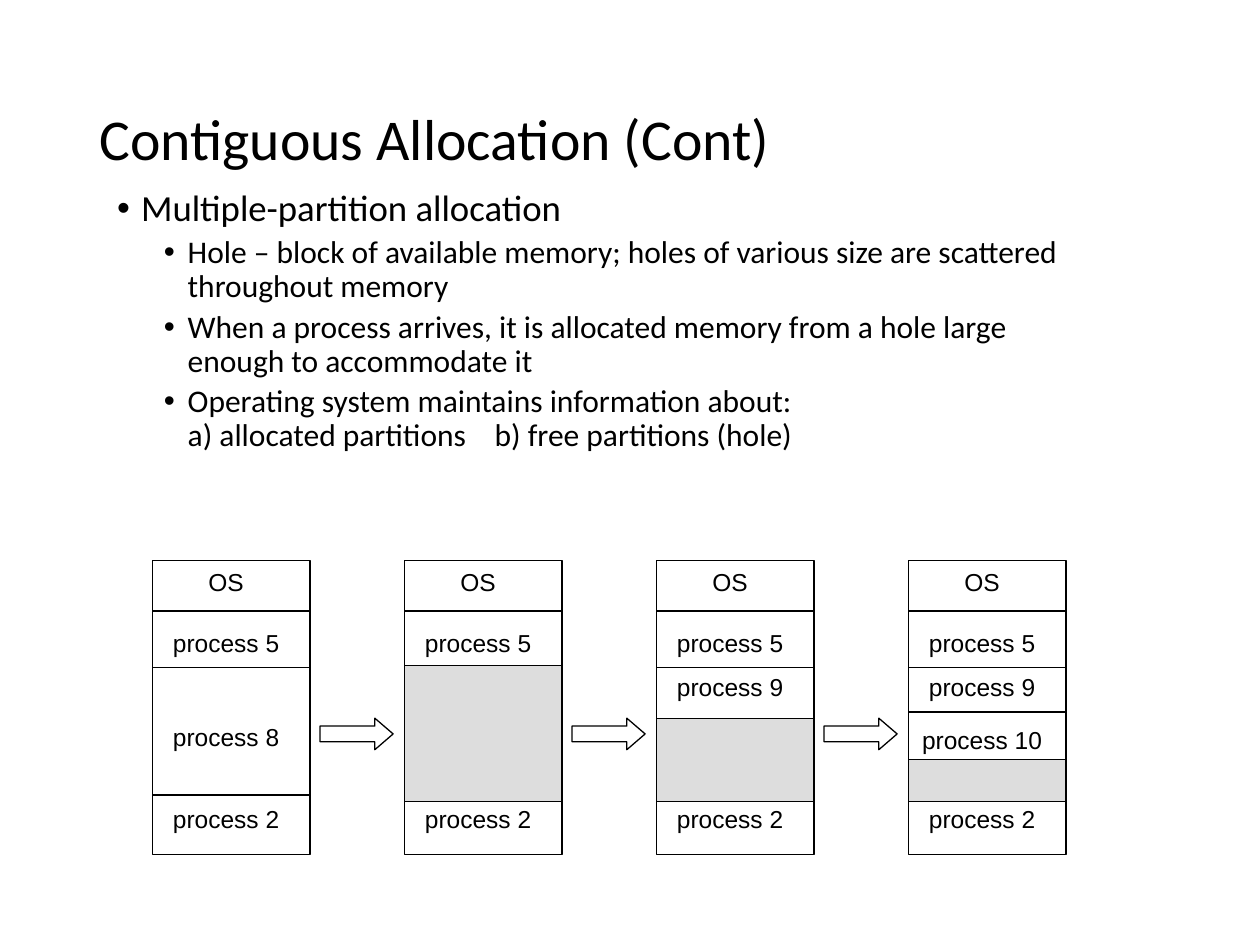
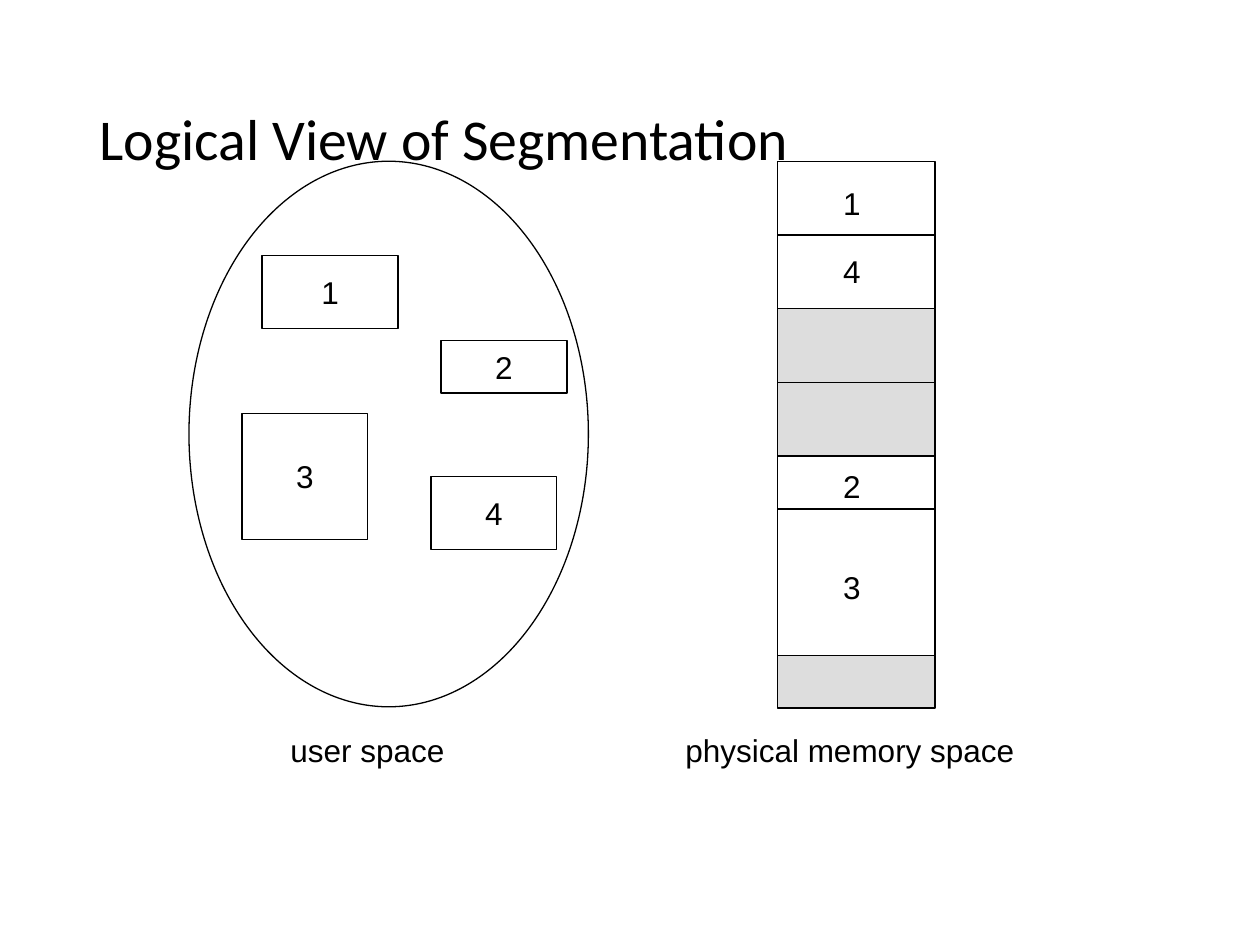
from lxml import etree
from pptx import Presentation
from pptx.dml.color import RGBColor
from pptx.enum.shapes import MSO_CONNECTOR, MSO_SHAPE
from pptx.enum.text import MSO_ANCHOR, MSO_AUTO_SIZE, PP_ALIGN
from pptx.oxml.ns import qn
from pptx.util import Inches, Pt

RECTANGLE, ELLIPSE, RIGHT_ARROW = MSO_SHAPE.RECTANGLE, MSO_SHAPE.OVAL, MSO_SHAPE.RIGHT_ARROW
STRAIGHT = MSO_CONNECTOR.STRAIGHT
TOP, MIDDLE = MSO_ANCHOR.TOP, MSO_ANCHOR.MIDDLE
LEFT, CENTER = PP_ALIGN.LEFT, PP_ALIGN.CENTER
NO_FIT = MSO_AUTO_SIZE.NONE

INK, PAPER, HOLE = "000000", "FFFFFF", "DDDDDD"
HEADING_FONT, LABEL_FONT = "Calibri", "Arial"
LEFT_SIDE, RIGHT_SIDE = 1, 3
BAR_WIDTH = 1.25

ALLOCATION_TITLE = "Contiguous Allocation (Cont)"
ALLOCATION_POINTS = [
    (0, "Multiple-partition allocation"),
    (1, "Hole – block of available memory; holes of various size are scattered throughout memory"),
    (1, "When a process arrives, it is allocated memory from a hole large enough to accommodate it"),
    (1, "Operating system maintains information about:\va) allocated partitions",
     "b) free partitions (hole)"),
]
LEVEL_STYLES = [
    {"size": 21, "before": 7.5, "indent": 0.19},
    {"size": 18, "before": 3.7, "indent": 0.56},
]
HANGING = 0.19
OPTION_GAP = 12.2

MEMORY_LEFT, MEMORY_TOP, MEMORY_HEIGHT, MEMORY_STEP = 1.21, 4.45, 2.33, 2
HOLE_BOTTOM = 6.36
COMMON_LABELS = [("OS", 4.45), ("process 5", 4.93), ("process 2", 6.33)]
MEMORY_STATES = [
    {"labels": [("process 8", 5.68)], "dividers": [4.85, 5.3, 6.31], "hole": None},
    {"labels": [], "dividers": [4.85], "hole": 5.28},
    {"labels": [("process 9", 5.28)], "dividers": [4.85, 5.3], "hole": 5.7},
    {"labels": [("process 9", 5.28), ("process 10", 5.7)],
     "dividers": [4.85, 5.3, 5.65], "hole": 6.03},
]

SEGMENTATION_TITLE = "Logical View of Segmentation"
USER_SEGMENTS = [
    ("1", 2.08, 2.03, 1.08, 0.58),
    ("3", 1.92, 3.28, 1, 1),
    ("2", 3.5, 2.7, 1, 0.42),
    ("4", 3.42, 3.78, 1, 0.58),
]
PHYSICAL_LEFT, PHYSICAL_TOP = 6.17, 1.28
PHYSICAL_BLOCKS = [
    (1.17, PAPER, 0.58),
    (1.17, HOLE, 0.58),
    (1.58, PAPER, 0.42),
    (0.42, HOLE, None),
]
PHYSICAL_LABELS = [("1", 1.41), ("4", 1.95), ("2", 3.66), ("3", 4.46)]
CAPTIONS = [("user space", 2.17, 1.49), ("physical memory space", 5.34, 2.81)]


def color(hex_code):
    """Turn a hex string into a colour."""
    return RGBColor.from_string(hex_code)


def style_font(font, name, size):
    """Apply face, size and ink to a font."""
    font.name, font.size = name, Pt(size)
    font.color.rgb = color(INK)


def place(item, left, top, width, height):
    """Move and size an item, in inches."""
    item.left, item.top = Inches(left), Inches(top)
    item.width, item.height = Inches(width), Inches(height)


def write_label(item, label, size):
    """Write one centred line into a shape or text box."""
    frame = item.text_frame
    frame.word_wrap = False
    frame.vertical_anchor = MIDDLE
    paragraph = frame.paragraphs[0]
    paragraph.text = label
    paragraph.alignment = CENTER
    style_font(paragraph.font, LABEL_FONT, size)


def add_label(shapes, label, left, top, width, height, size):
    """Add free-standing centred text."""
    bounds = map(Inches, (left, top, width, height))
    write_label(shapes.add_textbox(*bounds), label, size)


def add_block(shapes, kind, left, top, width, height, fill=PAPER):
    """Add an outlined, filled preset shape."""
    block = shapes.add_shape(kind, *map(Inches, (left, top, width, height)))
    block.shadow.inherit = False
    block.fill.solid()
    block.fill.fore_color.rgb = color(fill)
    block.line.color.rgb = color(INK)
    block.line.width = Pt(0.75)
    return block


def add_divider(shapes, left, top):
    """Add a horizontal line across a memory bar."""
    divider = shapes.add_connector(
        STRAIGHT, *map(Inches, (left, top, left + BAR_WIDTH, top)))
    divider.line.color.rgb = color(INK)
    divider.line.width = Pt(0.75)
    etree.SubElement(divider._element.spPr, qn("a:effectLst"))
    return divider


def add_titled_slide(deck, layout_index, title):
    """Add a slide with the shared title style."""
    slide = deck.slides.add_slide(deck.slide_layouts[layout_index])
    heading = slide.shapes.title
    place(heading, 0.69, 0.4, 8.63, 1.45)
    frame = heading.text_frame
    frame.auto_size = NO_FIT
    frame.vertical_anchor = MIDDLE
    paragraph = frame.paragraphs[0]
    paragraph.text = title
    paragraph.alignment = LEFT
    paragraph.line_spacing = 0.9
    style_font(paragraph.font, HEADING_FONT, 33)
    return slide


def add_points(body):
    """Fill the body placeholder with the bulleted points."""
    place(body, 0.83, 1.46, 8.04, 2.85)
    frame = body.text_frame
    frame.auto_size = NO_FIT
    frame.vertical_anchor = TOP
    for index, (level, point, *second_options) in enumerate(ALLOCATION_POINTS):
        style = LEVEL_STYLES[level]
        paragraph = frame.add_paragraph() if index else frame.paragraphs[0]
        paragraph.text = point
        paragraph.level = level
        for option in second_options:
            gap = paragraph.add_run()
            gap.text = " "
            gap.font._element.set("spc", str(round(OPTION_GAP * 100)))
            paragraph.add_run().text = option
        properties = paragraph._p.get_or_add_pPr()
        properties.set("marL", str(Inches(style["indent"])))
        properties.set("indent", str(-Inches(HANGING)))
        etree.SubElement(properties, qn("a:buFont"), typeface=LABEL_FONT)
        etree.SubElement(properties, qn("a:buChar"), char="•")
        paragraph.line_spacing = 0.9
        paragraph.space_before = Pt(style["before"] if index else 0)
        style_font(paragraph.font, HEADING_FONT, style["size"])


def build_allocation(deck):
    """Build the slide on contiguous allocation."""
    slide = add_titled_slide(deck, 1, ALLOCATION_TITLE)
    add_points(slide.placeholders[1])
    shapes = slide.shapes
    for index, state in enumerate(MEMORY_STATES):
        left = MEMORY_LEFT + index * MEMORY_STEP
        add_block(shapes, RECTANGLE, left, MEMORY_TOP, BAR_WIDTH, MEMORY_HEIGHT)
        for top in state["dividers"]:
            add_divider(shapes, left, top)
        if state["hole"]:
            add_block(shapes, RECTANGLE, left, state["hole"], BAR_WIDTH,
                      HOLE_BOTTOM - state["hole"], HOLE)
        for label, top in COMMON_LABELS + state["labels"]:
            add_label(shapes, label, left, top, 1.17, 0.34, 14)
        if index:
            arrow = add_block(shapes, RIGHT_ARROW, left - 0.67, 5.7, 0.58, 0.25)
            arrow.adjustments[1] = 0.58


def build_segmentation(deck):
    """Build the slide on segmentation."""
    shapes = add_titled_slide(deck, 5, SEGMENTATION_TITLE).shapes
    add_block(shapes, ELLIPSE, 1.5, 1.28, 3.17, 4.33)
    for label, *bounds in USER_SEGMENTS:
        write_label(add_block(shapes, RECTANGLE, *bounds), label, 18)

    physical = shapes.add_group_shape().shapes
    top = PHYSICAL_TOP
    for height, fill, split in PHYSICAL_BLOCKS:
        block = add_block(physical, RECTANGLE, PHYSICAL_LEFT, top, BAR_WIDTH, height, fill)
        if split:
            divider = add_divider(physical, PHYSICAL_LEFT, top + split)
            if abs(split - height / 2) < 0.01:
                divider.begin_connect(block, LEFT_SIDE)
                divider.end_connect(block, RIGHT_SIDE)
        top += height
    for label, label_top in PHYSICAL_LABELS:
        add_label(physical, label, 6.59, label_top, 0.34, 0.4, 18)

    for caption, left, width in CAPTIONS:
        add_label(shapes, caption, left, 5.75, width, 0.4, 18)


def main():
    """Build and save the deck."""
    deck = Presentation()
    deck.slide_width, deck.slide_height = Inches(10), Inches(7.5)
    build_allocation(deck)
    build_segmentation(deck)
    deck.save("out.pptx")


if __name__ == "__main__":
    main()
